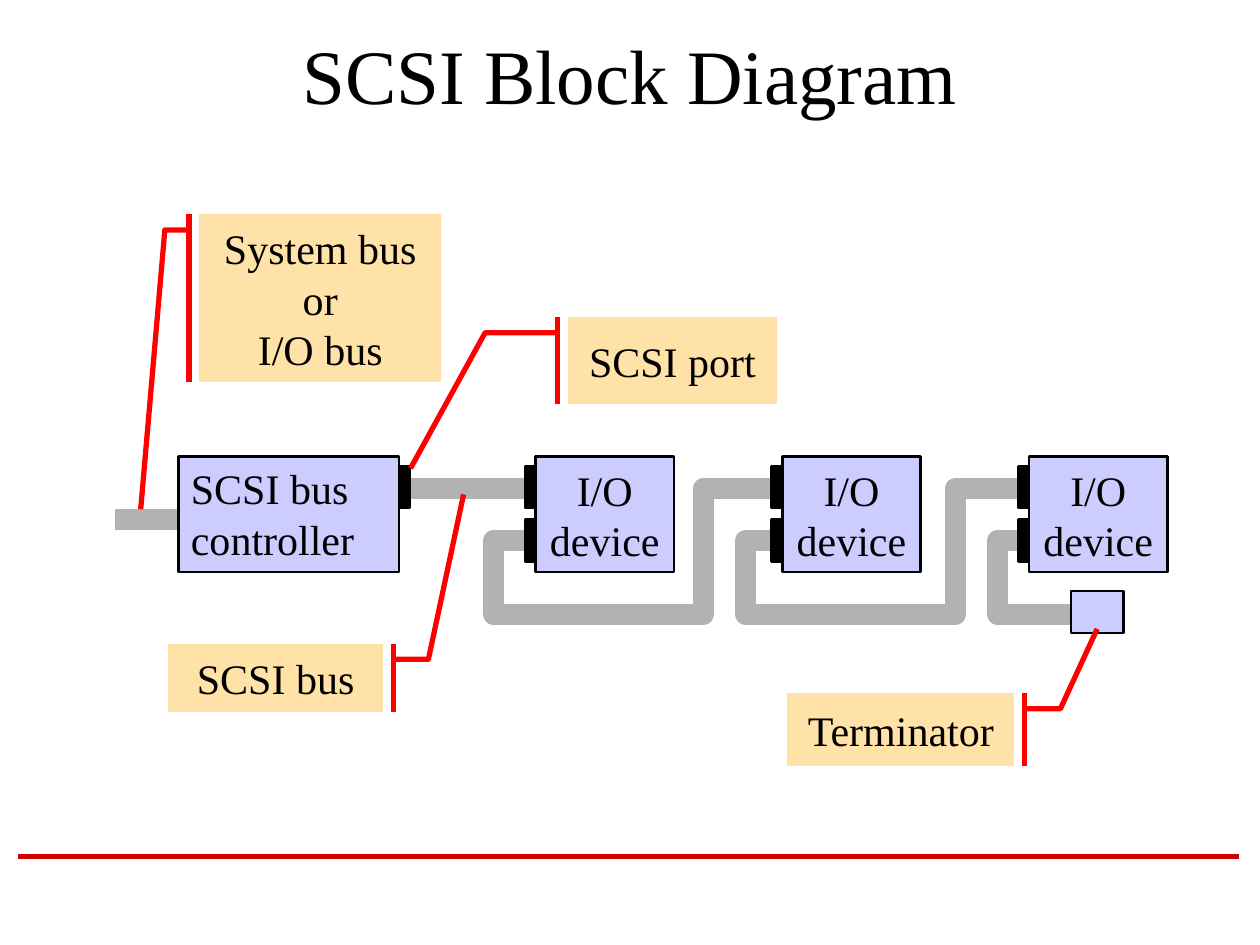
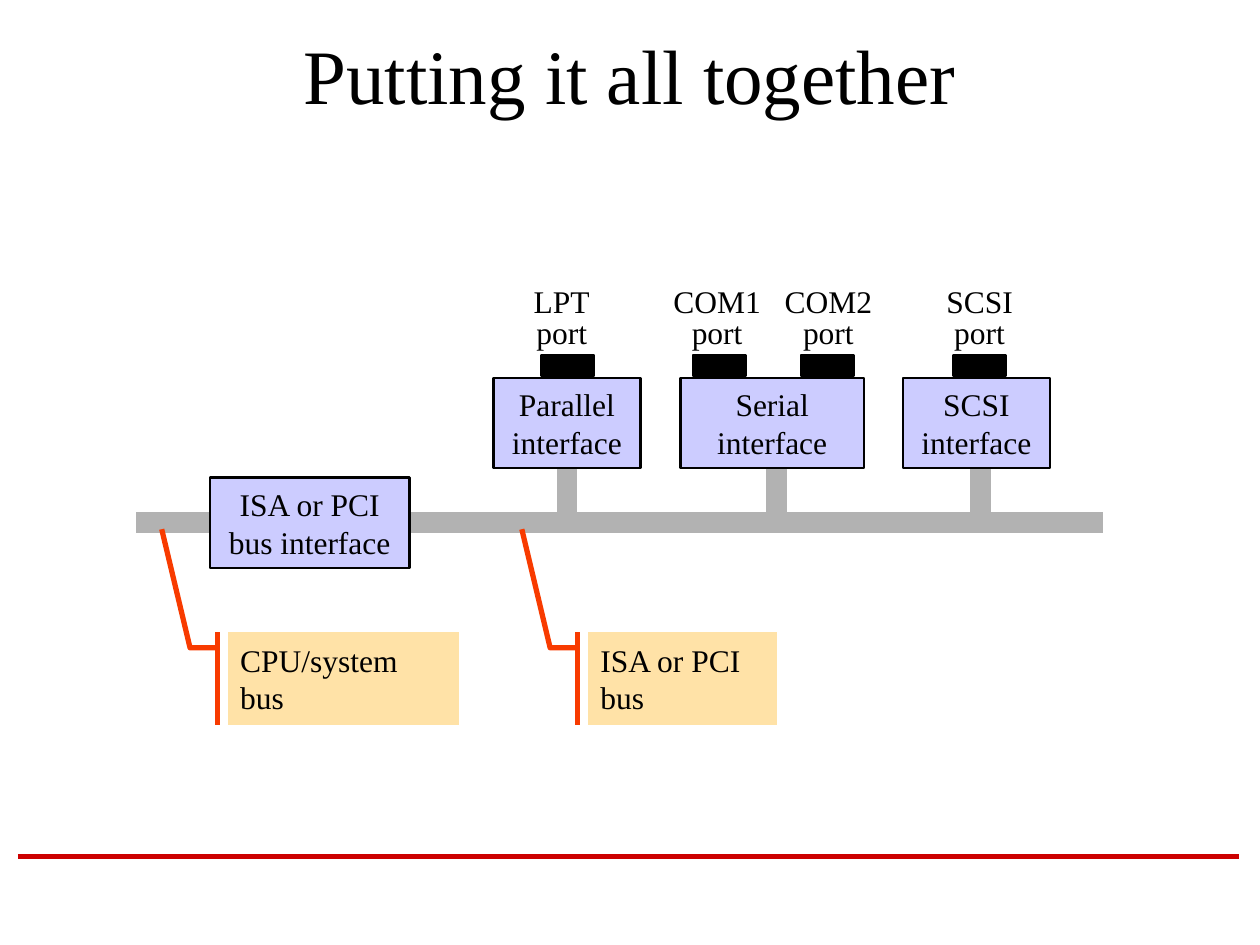
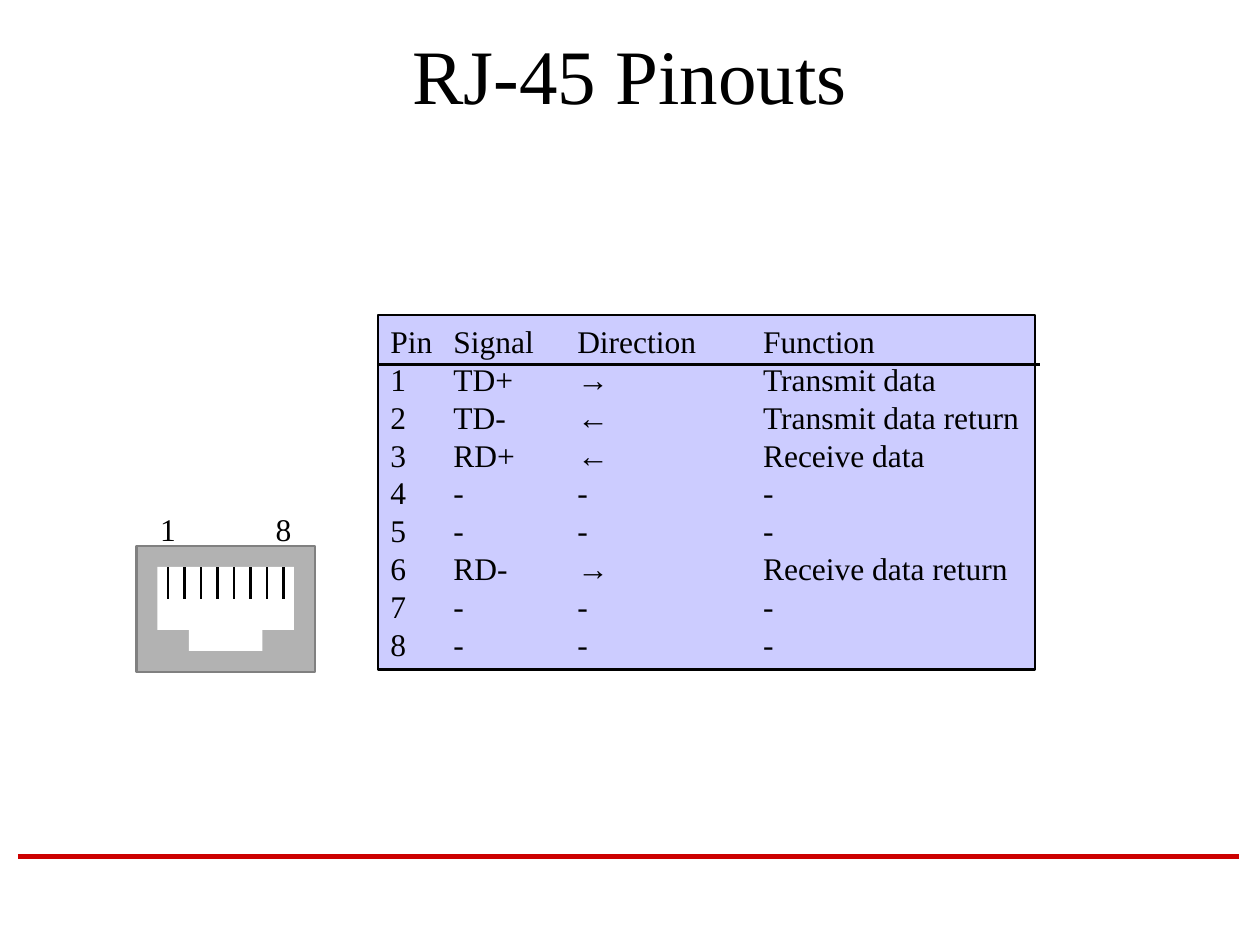
import pptx
import pptx.util
import pptx.dml.color
import pptx.enum.shapes
import pptx.enum.text
import pptx.oxml.ns
from lxml import etree

RGBColor = pptx.dml.color.RGBColor
SHAPE = pptx.enum.shapes.MSO_SHAPE
ALIGN = pptx.enum.text.PP_ALIGN
ANCHOR = pptx.enum.text.MSO_ANCHOR
qn = pptx.oxml.ns.qn

BLACK = RGBColor(0x00, 0x00, 0x00)
WHITE = RGBColor(0xFF, 0xFF, 0xFF)
LILAC = RGBColor(0xCC, 0xCC, 0xFF)
CREAM = RGBColor(0xFF, 0xE2, 0xA7)
SILVER = RGBColor(0xB2, 0xB2, 0xB2)
GRAY = RGBColor(0x80, 0x80, 0x80)
RED = RGBColor(0xFF, 0x00, 0x00)
ORANGE = RGBColor(0xF8, 0x3B, 0x00)
RULE_RED = RGBColor(0xCC, 0x00, 0x00)

FONT = "Times New Roman"
COLS, ROWS = 120, 90
WIDTH, HEIGHT = pptx.util.Inches(10), pptx.util.Inches(7.5)


def col(n):
    return round(n * WIDTH / COLS)


def row(n):
    return round(n * HEIGHT / ROWS)


def write(sp, text, size=24, align=ALIGN.CENTER, anchor=ANCHOR.MIDDLE,
          spacing=None, tabs=()):
    """Fill a shape: a newline starts a paragraph, a vertical tab breaks a line."""
    tf = sp.text_frame
    tf.word_wrap = True
    tf.vertical_anchor = anchor
    for i, line in enumerate(text.split("\n")):
        p = tf.add_paragraph() if i else tf.paragraphs[0]
        p.text = line
        p.alignment = align
        if spacing:
            p.line_spacing = spacing
        if tabs:
            stops = etree.SubElement(p._p.get_or_add_pPr(), qn("a:tabLst"))
            for n in tabs:
                etree.SubElement(stops, qn("a:tab"), pos=str(col(n)), algn="l")
        for r in p.runs:
            r.font.name = FONT
            r.font.size = pptx.util.Pt(size)
            r.font.color.rgb = BLACK


class Deck:
    """The shared style and the slide being drawn; lengths are grid units."""

    def __init__(self):
        self.prs = pptx.Presentation()
        self.prs.slide_width, self.prs.slide_height = WIDTH, HEIGHT

    def new_slide(self, title):
        self.shapes = self.prs.slides.add_slide(self.prs.slide_layouts[6]).shapes
        self.line((1.7, 81.6), (118, 81.6), RULE_RED, 3)
        self.label(title, 9, 2, 102, 10, size=44)

    def stroke(self, sp, color, width):
        sp.line.color.rgb = color
        sp.line.width = pptx.util.Pt(width)

    def line(self, start, end, color=BLACK, width=1.5):
        sp = self.shapes.add_connector(
            pptx.enum.shapes.MSO_CONNECTOR.STRAIGHT,
            col(start[0]), row(start[1]), col(end[0]), row(end[1]))
        self.stroke(sp, color, width)
        etree.SubElement(sp._element.spPr, qn("a:effectLst"))

    def bus(self, start, end):
        self.line(start, end, SILVER, 12)

    def cable(self, *points):
        first, *rest = [(col(x), row(y)) for x, y in points]
        path = self.shapes.build_freeform(*first)
        path.add_line_segments(rest, close=False)
        sp = path.convert_to_shape()
        sp.shadow.inherit = False
        sp.fill.background()
        self.stroke(sp, SILVER, 12)
        etree.SubElement(sp.line._get_or_add_ln(), qn("a:round"))

    def box(self, x, y, w, h, text="", fill=LILAC, line=BLACK, width=1.5,
            kind=SHAPE.RECTANGLE, **fmt):
        sp = self.shapes.add_shape(kind, col(x), row(y), col(w), row(h))
        sp.shadow.inherit = False
        sp.fill.solid()
        sp.fill.fore_color.rgb = fill
        if line is None:
            sp.line.fill.background()
        else:
            self.stroke(sp, line, width)
        if text:
            write(sp, text, **fmt)
        return sp

    def port(self, x, y, w, h):
        self.box(x, y, w, h, fill=BLACK)

    def label(self, text, x, y, w, h, **fmt):
        write(self.shapes.add_textbox(col(x), row(y), col(w), row(h)), text, **fmt)

    def callout(self, text, x, y, w, h, knee, tip, line=RED, **fmt):
        """The accent bar stands one column off the side that faces the knee."""
        sp = self.box(x, y, w, h, text, CREAM, line, 3,
                      SHAPE.LINE_CALLOUT_2_ACCENT_BAR, **fmt)
        bar = x + w + 1 if knee > x else x - 1
        path = [(bar, y + 1.5), (knee, y + 1.5), tip]
        for i, (px, py) in enumerate(path):
            sp.adjustments[2 * i] = (py - y) / h
            sp.adjustments[2 * i + 1] = (px - x) / w


def block_diagram(deck):
    deck.new_slide("SCSI Block Diagram")
    upper, lower, below = 46.5, 51.5, 58.5

    # Cables: each one leaves a device's lower port and loops underneath
    deck.cable((99, lower), (95, lower), (95, below), (103, below))
    for x in (47, 71):
        deck.cable((x + 5, lower), (x, lower), (x, below),
                   (x + 20, below), (x + 20, upper), (x + 29, upper))
    deck.bus((36, upper), (53, upper))
    deck.bus((21, 49.5), (11, 49.5))

    # Controller, devices and terminator
    deck.box(17, 43.5, 21, 11, "SCSI bus controller",
             align=ALIGN.LEFT, anchor=ANCHOR.TOP)
    deck.port(38, 44.4, 1, 4)
    for i in range(3):
        x = 51 + 23.5 * i
        deck.box(x, 43.5, 13.2, 11, "I/O device")
        for y in (44.4, 49.5):
            deck.port(x - 1, y, 1, 4)
    deck.box(102, 56.3, 5, 4)

    # Callouts
    deck.callout("SCSI bus", 16, 61.3, 20.5, 6.5, 40.8, (44.15, 47.1))
    deck.callout("System bus\nor\nI/O bus", 19, 20.4, 23, 16, 15.7, (13.4, 48.5))
    deck.callout("SCSI port", 54.1, 30.2, 19.9, 8.3, 46.2, (39.1, 44.6))
    deck.callout("Terminator", 75, 66, 21.6, 7, 101, (104.5, 59.9))


def all_together(deck):
    deck.new_slide("Putting it all together")

    # Bus and its branches
    for x in (54, 74, 93.4):
        deck.bus((x, 49.5), (x, 41.4))
    deck.bus((13, 49.8), (105, 49.8))

    # Interfaces
    for text, x, y, w in (("ISA or PCI bus interface", 20, 45.5, 19),
                          ("Parallel\vinterface", 47, 36, 14),
                          ("Serial\vinterface", 64.8, 36, 17.5),
                          ("SCSI\ninterface", 86, 36, 14)):
        deck.box(x, y, w, 8.6, text, size=18)

    # Ports and their names
    for name, port_x, label_x in (("LPT", 51.6, 48), ("COM1", 66, 62.8),
                                  ("COM2", 76.3, 73.4), ("SCSI", 90.8, 87.8)):
        deck.port(port_x, 33.8, 5, 2)
        deck.label(f"{name}\vport", label_x, 27, 11, 7, size=18,
                   anchor=ANCHOR.TOP, spacing=0.8)

    # Callouts
    for text, x, w in (("CPU/system\vbus", 21.7, 22), ("ISA or PCI\vbus", 56, 18)):
        deck.callout(text, x, 60.2, w, 8.8, x - 3.6, (x - 6.3, 50.4),
                     line=ORANGE, size=18, align=ALIGN.LEFT)


PINOUT = [
    ("Pin", "Signal", "Direction", "Function"),
    ("1", "TD+", "→", "Transmit data"),
    ("2", "TD-", "←", "Transmit data return"),
    ("3", "RD+", "←", "Receive data"),
    ("4", "-", "-", "-"),
    ("5", "-", "-", "-"),
    ("6", "RD-", "→", "Receive data return"),
    ("7", "-", "-", "-"),
    ("8", "-", "-", "-"),
]


def pinouts(deck):
    deck.new_slide("RJ-45 Pinouts")

    # Pin list, one tab stop for each column after the first
    deck.box(36, 30, 62.6, 33.8, "\n".join("\t".join(pin) for pin in PINOUT),
             size=18, align=ALIGN.LEFT, tabs=(6, 17.8, 35.5))

    # Jack with eight contacts
    deck.box(13, 52, 17, 12, fill=SILVER, line=GRAY)
    deck.box(15, 54, 13, 6, fill=WHITE, line=None)
    deck.box(18, 60, 7, 2, fill=WHITE, line=None)
    for i in range(8):
        x = 16 + 11 * i / 7
        deck.line((x, 54), (x, 57))
    for text, x in (("1", 13), ("8", 24)):
        deck.label(text, x, 48, 6, 4.8, size=18, anchor=ANCHOR.TOP)

    # Rule under the header
    deck.line((36, 34.7), (99, 34.7))


def main():
    deck = Deck()
    block_diagram(deck)
    all_together(deck)
    pinouts(deck)
    deck.prs.save("out.pptx")


if __name__ == "__main__":
    main()
